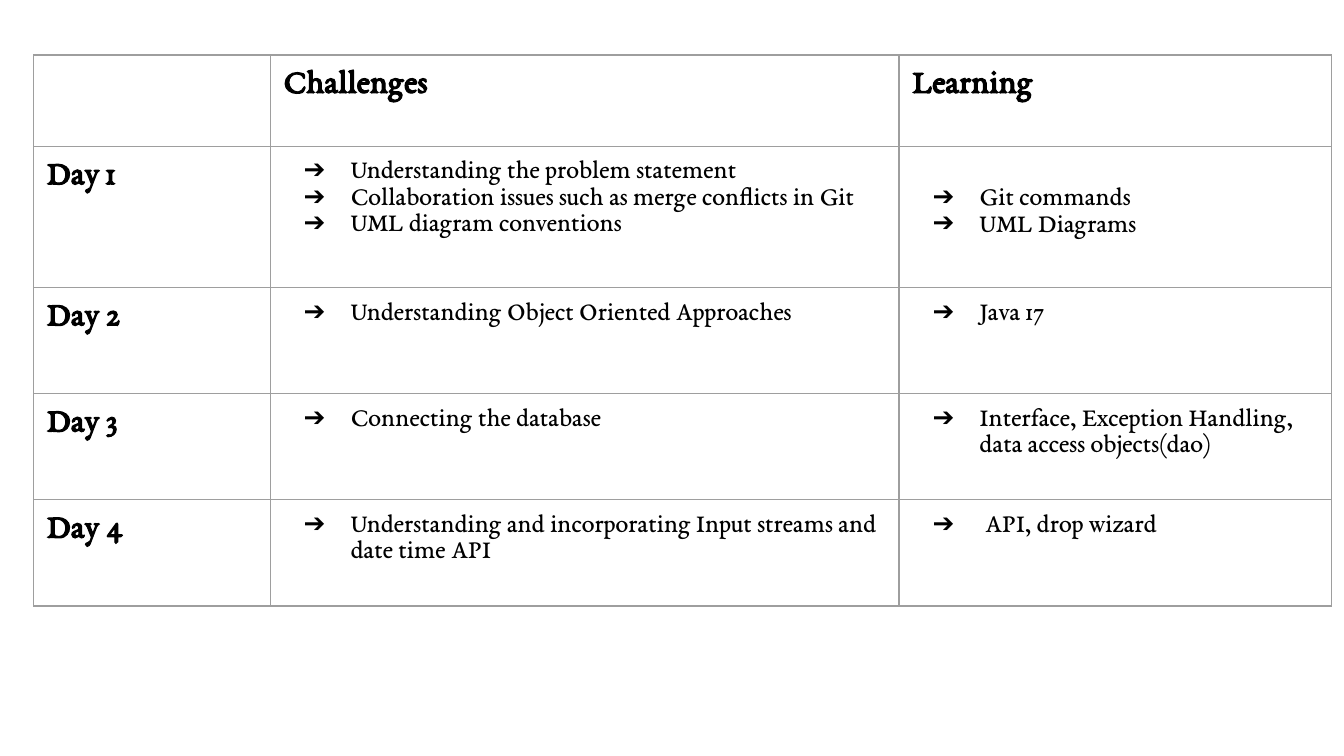
from dataclasses import dataclass

from lxml import etree
from pptx import Presentation
from pptx import util as u
from pptx.dml.color import RGBColor
from pptx.oxml import ns


@dataclass(frozen=True)
class Theme:
    font: str = "EB Garamond"
    ink: str = "000000"
    border: str = "9E9E9E"
    heading_size: int = 18
    body_size: int = 14
    border_width: float = 0.75
    margin: float = 0.1
    bullet: str = "➔"
    bullet_left: float = 0.5
    bullet_hang: float = 0.35


THEME = Theme()
COLUMN_WIDTHS = [1.76, 4.68, 3.22]
ROW_HEIGHTS = [0.68, 1.05, 0.79, 0.79, 0.79]
LINE_HEIGHT = 0.2
HEADINGS = ["", "Challenges", "Learning"]
DAYS = [
    (
        "Day 1",
        [
            "Understanding the problem statement",
            "Collaboration issues such as merge conflicts in Git",
            "UML diagram conventions",
        ],
        ["Git commands", "UML Diagrams"],
    ),
    ("Day 2", ["Understanding Object Oriented Approaches"], ["Java 17"]),
    (
        "Day 3",
        ["Connecting the database"],
        ["Interface, Exception Handling, data access objects(dao)"],
    ),
    (
        "Day 4",
        ["Understanding and incorporating Input streams and date time API"],
        [" API, drop wizard"],
    ),
]


def add_element(parent, tag, **attributes):
    return etree.SubElement(parent, ns.qn(tag), attributes)


def add_bullet(paragraph):
    properties = paragraph._p.get_or_add_pPr()
    properties.set("marL", str(u.Inches(THEME.bullet_left)))
    properties.set("indent", str(-u.Inches(THEME.bullet_hang)))
    color = add_element(properties, "a:buClr")
    add_element(color, "a:srgbClr", val=THEME.ink)
    add_element(properties, "a:buFont", typeface=THEME.font)
    add_element(properties, "a:buChar", char=THEME.bullet)


def style_cell(cell):
    properties = cell._tc.get_or_add_tcPr()
    width = str(u.Pt(THEME.border_width))
    for side in ("a:lnL", "a:lnR", "a:lnT", "a:lnB"):
        line = add_element(properties, side, w=width)
        fill = add_element(line, "a:solidFill")
        add_element(fill, "a:srgbClr", val=THEME.border)
    cell.fill.background()
    margin = u.Inches(THEME.margin)
    cell.margin_left = cell.margin_right = margin
    cell.margin_top = cell.margin_bottom = margin


def write_cell(cell, lines, size, bold=False, bulleted=False):
    style_cell(cell)
    cell.text_frame.text = "\n".join(lines)
    for paragraph in cell.text_frame.paragraphs:
        if bulleted:
            add_bullet(paragraph)
        paragraph.font.size = u.Pt(size)
        for run in paragraph.runs:
            run.font.name = THEME.font
            run.font.size = u.Pt(size)
            run.font.bold = bold
            run.font.color.rgb = RGBColor.from_string(THEME.ink)


def add_day_table(slide, left, top, width, height):
    frame = slide.shapes.add_table(
        len(ROW_HEIGHTS), len(COLUMN_WIDTHS),
        u.Inches(left), u.Inches(top), u.Inches(width), u.Inches(height),
    )
    table = frame.table
    table.first_row = False
    table.horz_banding = False
    for column, column_width in zip(table.columns, COLUMN_WIDTHS):
        column.width = u.Inches(column_width)
    for row, row_height in zip(table.rows, ROW_HEIGHTS):
        row.height = u.Inches(row_height)

    for index, heading in enumerate(HEADINGS):
        write_cell(table.cell(0, index), [heading], THEME.heading_size, bold=True)
    for index, (day, challenges, learning) in enumerate(DAYS, start=1):
        write_cell(table.cell(index, 0), [day], THEME.heading_size, bold=True)
        for column, lines in enumerate((challenges, learning), start=1):
            write_cell(table.cell(index, column), lines, THEME.body_size, bulleted=True)

    first_learning = table.cell(1, 2)
    first_learning.margin_top = u.Inches(THEME.margin + LINE_HEIGHT)


def main():
    presentation = Presentation()
    presentation.slide_width = u.Inches(10)
    presentation.slide_height = u.Inches(10 * 9 / 16)
    slide = presentation.slides.add_slide(presentation.slide_layouts[6])
    add_day_table(slide, 0.25, 0.41, sum(COLUMN_WIDTHS), sum(ROW_HEIGHTS))
    presentation.save("out.pptx")


if __name__ == "__main__":
    main()
